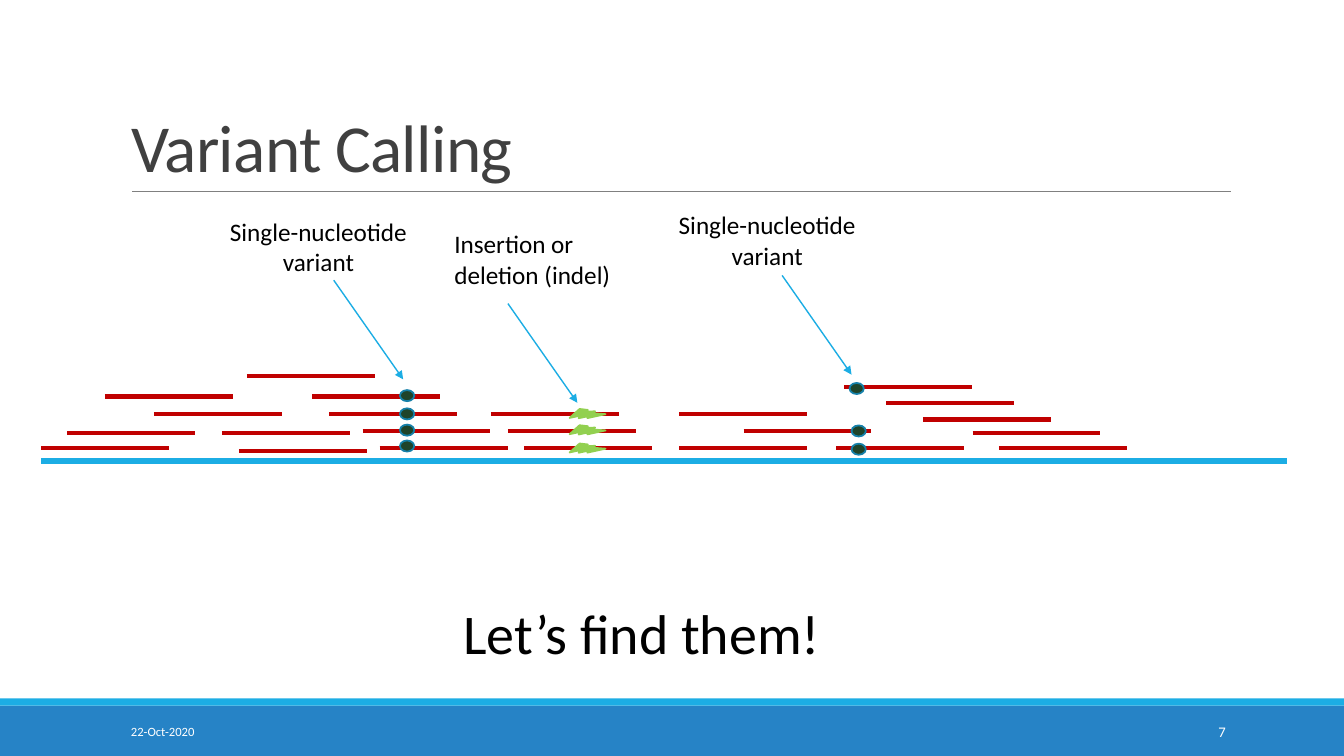
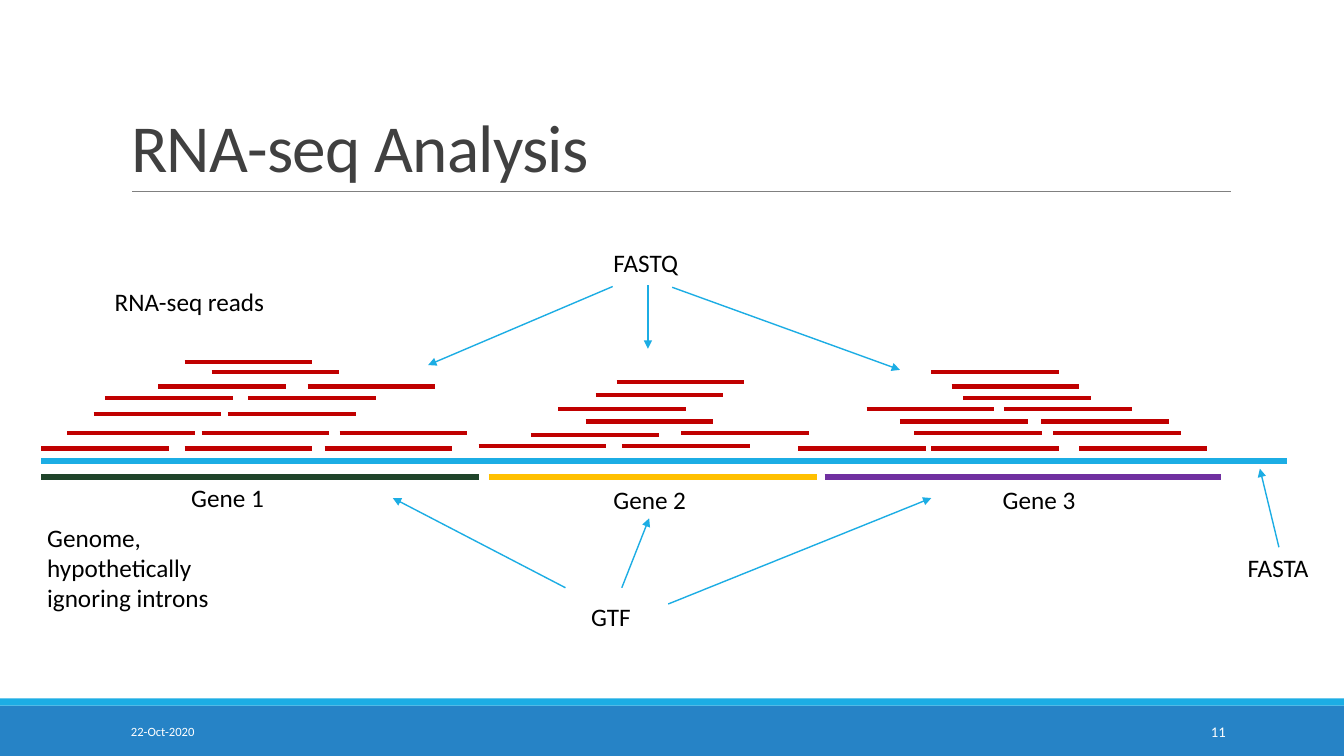
from lxml.etree import SubElement as Sub
from pptx import Presentation as Deck
from pptx.dml.color import RGBColor as Rgb
from pptx.enum.shapes import MSO_CONNECTOR as Link, MSO_SHAPE as Form
from pptx.enum.text import MSO_ANCHOR as Anchor, MSO_AUTO_SIZE as Fit, PP_ALIGN as Align
from pptx.oxml.ns import qn
from pptx.util import Cm, Pt

FONT = "Calibri"
HUES = {
    "band": "2683C6", "sky": "1CADE4", "rule": "808080", "title": "404040",
    "text": "000000", "white": "FFFFFF", "read": "C00000", "pine": "1F442A",
    "rim": "1580A9", "lime": "92D050", "gold": "FFC000", "plum": "7030A0",
}
WIDE, HIGH = 33.87, 19.05
MAP = (1.04, 11.61, 31.4)
FOOT = (0, 17.6, WIDE, 1.45)
HEAD = (3.05, 0.79, 27.94, 4.04)
READ = 3.22

CALLS = {
    0.25: [4.98],
    0.33: [0, 8.53, 12.17, 16.08, 20.04, 24.13],
    0.69: [0.66, 4.55, 23.47],
    0.74: [8.1, 11.76, 17.7],
    1.04: [22.22],
    1.17: [2.84, 7.26, 11.33, 16.08],
    1.45: [21.29],
    1.62: [1.6, 6.83],
    1.85: [20.24],
    2.13: [5.18],
}
GENES = {
    0.31: [0, 3.61, 7.14, 19.08, 22.43, 26.16],
    0.37: [11.02, 14.63],
    0.64: [12.34],
    0.69: [0.66, 4.04, 7.52, 16.13, 22, 25.5],
    0.99: [13.72, 21.64, 25.2],
    1.17: [1.32, 4.7],
    1.31: [13.03, 20.8, 24.26],
    1.59: [1.6, 5.21, 23.24],
    1.65: [13.97],
    1.87: [2.95, 6.71, 22.94],
    1.98: [14.5],
    2.23: [4.29, 22.43],
    2.49: [3.61],
}


def tint(hue):
    return Rgb.from_string(HUES[hue])


def line(page, start, end, hue, size, tip=False):
    link = page.shapes.add_connector(
        Link.STRAIGHT, Cm(start[0]), Cm(start[1]), Cm(end[0]), Cm(end[1]))
    link.line.color.rgb = tint(hue)
    link.line.width = Pt(size)
    if tip:
        Sub(link.line._get_or_add_ln(), qn("a:tailEnd"), type="triangle")
    Sub(link.element.spPr, qn("a:effectLst"))
    return link


def block(page, form, box, fill, rim=None, turn=0):
    item = page.shapes.add_shape(form, *map(Cm, box))
    item.shadow.inherit = False
    item.fill.solid()
    item.fill.fore_color.rgb = tint(fill)
    if rim:
        item.line.color.rgb = tint(rim)
        item.line.width = Pt(1.25)
    else:
        item.line.fill.background()
    item.rotation = turn
    return item


def style(part, size, hue, align):
    part.font.name = FONT
    part.font.size = Pt(size)
    part.font.color.rgb = tint(hue)
    part.alignment = align


def label(page, text, box, size=18, hue="text", align=Align.LEFT, anchor=Anchor.TOP):
    frame = page.shapes.add_textbox(*map(Cm, box)).text_frame
    frame.word_wrap = True
    frame.vertical_anchor = anchor
    frame.text = text
    style(frame.paragraphs[0], size, hue, align)


def frame_up(page, layout):
    left, top, wide, high = FOOT
    parts = [
        block(page, Form.RECTANGLE, (left, top + 0.18, wide, high - 0.18), "band"),
        block(page, Form.RECTANGLE, (left, top, wide, 0.18), "sky"),
        line(page, (3.33, 4.83), (31.01, 4.83), "rule", 0.5),
    ]
    for part in parts:
        layout.shapes.element.append(part.element)


def head(page, text, box):
    title = page.shapes.title
    title.left, title.top, title.width, title.height = map(Cm, box)
    frame = title.text_frame
    frame.text = text
    frame.auto_size = Fit.NONE
    frame.word_wrap = True
    frame.vertical_anchor = Anchor.BOTTOM
    part = frame.paragraphs[0]
    style(part, 48, "title", Align.LEFT)
    part.line_spacing = 0.85
    part.runs[0]._r.get_or_add_rPr().set("spc", "-50")


def foot(page, number, box):
    left, top, wide, high = box
    top += 0.33
    label(page, "22-Oct-2020", (left + 3.05, top, 6.86, 1.02), 9, "white",
          anchor=Anchor.MIDDLE)
    label(page, number, (left + 27.51, top, 3.63, 1.02), 10.5, "white",
          Align.RIGHT, Anchor.MIDDLE)


def strand(page, rows, box):
    left, base, wide = box
    line(page, (left, base), (left + wide, base), "sky", 4.5)
    for rise, starts in rows.items():
        for start in starts:
            x, y = left + start, base - rise
            line(page, (x, y), (x + READ, y), "read", 3)


def notes(page, items, box):
    left, base, _ = box
    for text, x, y, wide, high, size, align in items:
        label(page, text, (left + x, base + y, wide, high), size, align=align)


def points(page, arrows, box):
    left, base, _ = box
    for (x, y), (to_x, to_y) in arrows:
        line(page, (left + x, base + y), (left + to_x, base + to_y), "sky", 1, True)


def marks(page, form, spots, size, look, box):
    left, base, _ = box
    wide, high = size
    for x, rise in spots:
        spot = (left + x - wide / 2, base - rise - high / 2, wide, high)
        block(page, form, spot, *look)


def calling(page, box):
    strand(page, CALLS, box)
    dots = [(9.22, rise) for rise in (1.64, 1.18, 0.77, 0.37)]
    dots += [(20.6, 0.75), (20.55, 1.82), (20.6, 0.29)]
    marks(page, Form.OVAL, dots, (0.36, 0.28), ("pine", "rim"), box)
    bolts = [(13.75, rise) for rise in (1.16, 0.75, 0.29)]
    marks(page, Form.LIGHTNING_BOLT, bolts, (0.84, 0.43), ("lime", "lime", 331.2), box)
    tails = [(7.37, -4.55), (18.67, -4.67), (11.76, -3.96)]
    points(page, [((x, y), (x + 1.75, y + 2.5)) for x, y in tails], box)
    single = "Single-nucleotide variant"
    notes(page, [
        (single, 4.01, -6.28, 5.95, 1.8, 18, Align.CENTER),
        (single, 15.32, -6.45, 5.95, 1.8, 18, Align.CENTER),
        ("Insertion or deletion (indel)", 10.16, -5.97, 5.46, 1.8, 18, Align.LEFT),
        ("Let’s find them!", 10.39, 3.35, 15.34, 1.96, 40, Align.LEFT),
    ], box)


def counting(page, box):
    strand(page, GENES, box)
    left, base, _ = box
    for start, end, hue in [(0, 11.02, "pine"), (11.28, 19.56, "gold"),
                            (19.74, 29.72, "plum")]:
        line(page, (left + start, base + 0.41), (left + end, base + 0.41), hue, 4.5)
    tags = [
        ("RNA-seq reads", 1.6, -4.52, 4.72, 1.02),
        ("Genome, hypothetically ignoring introns", -0.1, 1.42, 4.72, 2.57),
        ("Gene 1", 3.53, 0.43, 4.72, 1.02),
        ("Gene 2", 14.17, 0.48, 4.72, 1.02),
        ("Gene 3", 23.98, 0.48, 4.72, 1.02),
        ("FASTQ", 14.17, -5.51, 4.72, 1.02),
        ("FASTA", 30.15, 2.18, 2.6, 1.02),
        ("GTF", 13.61, 3.43, 4.72, 1.02),
    ]
    notes(page, [(*tag, 18, Align.LEFT) for tag in tags], box)
    points(page, [
        ((13.21, 3.2), (8.86, 0.94)),
        ((14.63, 3.2), (15.32, 1.45)),
        ((15.8, 3.61), (22.43, 0.94)),
        ((15.29, -4.42), (15.29, -2.82)),
        ((15.9, -4.37), (21.64, -2.29)),
        ((14.4, -4.39), (9.75, -2.41)),
        ((31.19, 2.18), (30.71, 0.2)),
    ], box)


def main():
    deck = Deck()
    deck.slide_width, deck.slide_height = Cm(WIDE), Cm(HIGH)
    layout = deck.slide_layouts[5]
    for text, number, draw in [("Variant Calling", "7", calling),
                               ("RNA-seq Analysis", "11", counting)]:
        page = deck.slides.add_slide(layout)
        if len(deck.slides) == 1:
            frame_up(page, layout)
        head(page, text, HEAD)
        foot(page, number, FOOT)
        draw(page, MAP)
    deck.save("out.pptx")


if __name__ == "__main__":
    main()
